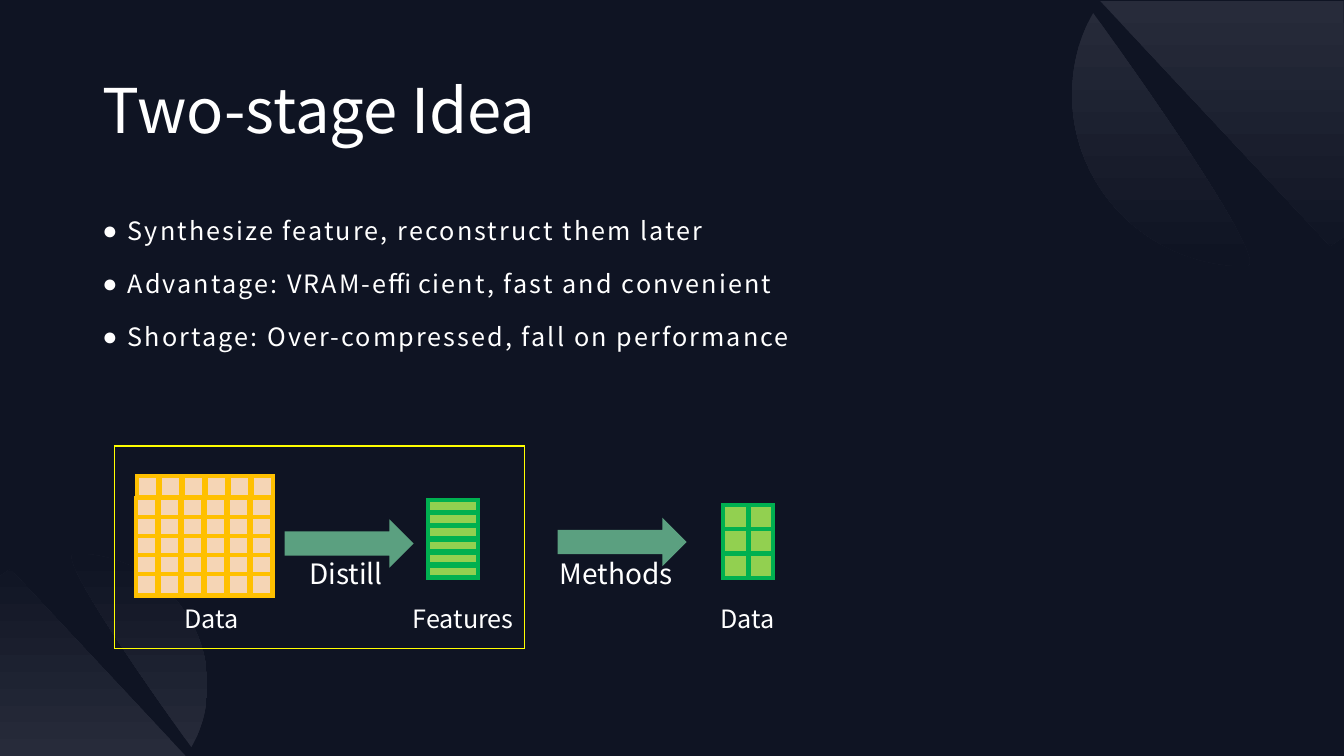
from pptx import Presentation
from pptx.dml.color import RGBColor
from pptx.enum.shapes import MSO_SHAPE as Kind
from pptx.enum.text import MSO_ANCHOR as Anchor, MSO_AUTO_SIZE as Fit, PP_ALIGN as Align
from pptx.oxml.ns import qn
from pptx.util import Cm, Pt
from lxml.etree import SubElement

FONT = "Noto Sans CJK SC"
DARK, GLOW, WHITE = "0F1423", "272B3A", "FFFFFF"
PEACH, GOLD = "F5D5B5", "FFC000"
LIME, GREEN = "92D050", "00B050"
TEAL, YELLOW = "5BA080", "FFFF00"
EDGE = [(6.84, 0), (6.84, 5.94), (6.5, 6.17)]
CURVE = [(5.87, 6.5), (5.16, 6.68), (4.39, 6.68),
         (1.96, 6.68), (0, 4.75), (0, 2.36),
         (0, 1.6), (0.18, 0.91), (0.53, 0.3)]


def color(code):
    return RGBColor.from_string(code)


def place(item, left, top, width, height):
    item.left, item.top, item.width, item.height = map(Cm, (left, top, width, height))


def write(frame, lines, size=18, space=None, after=None, bullet=None, track=None):
    for i, line in enumerate(lines):
        para = frame.paragraphs[0] if i == 0 else frame.add_paragraph()
        para.alignment = Align.LEFT
        if space:
            para.line_spacing = space
        if after:
            para.space_after = Pt(after)
        if bullet:
            props = para._p.get_or_add_pPr()
            props.set("marL", str(Cm(0.64)))
            props.set("indent", str(-Cm(0.64)))
            SubElement(props, qn("a:buFont")).set("typeface", "Arial")
            SubElement(props, qn("a:buChar")).set("char", bullet)
        run = para.add_run()
        run.text = line
        run.font.name, run.font.size = FONT, Pt(size)
        run.font.color.rgb = color(WHITE)
        if track:
            run._r.get_or_add_rPr().set("spc", str(track))


def label(shapes, box, lines, wrap=True, fit=Fit.SHAPE_TO_FIT_TEXT, **style):
    frame = shapes.add_textbox(*map(Cm, box)).text_frame
    frame.word_wrap, frame.auto_size = wrap, fit
    write(frame, lines, **style)


def block(shapes, box, fill=None, line=None, width=3, kind=Kind.RECTANGLE, turn=0):
    item = shapes.add_shape(kind, *map(Cm, box))
    item.shadow.inherit = False
    item.rotation = turn
    if fill:
        item.fill.solid()
        item.fill.fore_color.rgb = color(fill)
    else:
        item.fill.background()
    if line:
        item.line.color.rgb = color(line)
        item.line.width = Pt(width)
        SubElement(item.line._get_or_add_ln(), qn("a:miter")).set("lim", "800000")
    else:
        item.line.fill.background()


def grid(shapes, left, top, cols, rows, size, step, fill, line, turn=0):
    for row in range(rows):
        for col in range(cols):
            spot = (left + col * step[0], top + row * step[1])
            block(shapes, spot + size, fill, line, turn=turn)


def disc(shapes, left, top, scale=1, turn=0):
    """Draw a faded disc with one corner cut off, bending each three points into a curve."""
    path = shapes.build_freeform(Cm(0.71 * scale), 0)
    path.add_line_segments([(Cm(x * scale), Cm(y * scale)) for x, y in EDGE + CURVE])
    item = path.convert_to_shape(Cm(left), Cm(top))
    item.rotation = turn
    item.shadow.inherit = False
    item.line.fill.background()
    item.fill.gradient()
    item.fill.gradient_angle = 270
    for stop, tint in zip(item.fill.gradient_stops, (GLOW, DARK)):
        stop.color.rgb = color(tint)
    track = next(item._element.iter(qn("a:path")))
    bends = track.findall(qn("a:lnTo"))[len(EDGE):]
    for i in range(0, len(bends), 3):
        curve = SubElement(track, qn("a:cubicBezTo"))
        for bend in bends[i:i + 3]:
            curve.append(bend[0])
            track.remove(bend)
    SubElement(track, qn("a:close"))


def main():
    deck = Presentation()
    deck.slide_width, deck.slide_height = Cm(33.87), Cm(19.05)
    slide = deck.slides.add_slide(deck.slide_layouts[5])
    slide.background.fill.solid()
    slide.background.fill.fore_color.rgb = color(DARK)
    shapes = slide.shapes

    disc(shapes, 27.02, 0.03)
    disc(shapes, 0, 13.95, scale=0.764, turn=180)

    title = shapes.title
    place(title, 2.34, 1.02, 29.21, 3.68)
    title.text_frame.vertical_anchor = Anchor.MIDDLE
    write(title.text_frame, ["Two-stage Idea"], size=44, space=0.9)
    label(shapes, (2.33, 5.07, 29.21, 12.09), [
        "Synthesize feature, reconstruct them later",
        "Advantage: VRAM-efficient, fast and convenient",
        "Shortage: Over-compressed, fall on performance",
    ], fit=Fit.NONE, space=1.3, after=10, bullet="●", track=150)

    cell, step = (0.54, 0.54), (0.58, 0.48)
    grid(shapes, 3.43, 12.55, 6, 5, cell, step, PEACH, GOLD)
    grid(shapes, 3.45, 11.99, 6, 1, cell, step, PEACH, GOLD)
    grid(shapes, 11.27, 12.12, 1, 6, (0.3, 1.27), (0, 0.33), LIME, GREEN, turn=90)
    grid(shapes, 18.23, 12.73, 2, 3, (0.62, 0.62), (0.64, 0.61), LIME, GREEN)

    for left, top in ((8.19, 12.07), (15.07, 12.03)):
        block(shapes, (left, top, 1.22, 3.25), TEAL, kind=Kind.DOWN_ARROW, turn=270)
    for text, left, width in (("Distill", 7.54, 3.25), ("Methods", 13.86, 3.58)):
        label(shapes, (left, 13.89, width, 1.12), [text], size=20)
    for text, left, width in (("Data", 4.39, 1.93), ("Features", 10.15, 3.18),
                              ("Data", 17.91, 1.93)):
        label(shapes, (left, 15.09, width, 1.02), [text], wrap=False)
    block(shapes, (2.88, 11.24, 10.34, 5.11), line=YELLOW, width=1)

    deck.save("out.pptx")


if __name__ == "__main__":
    main()
